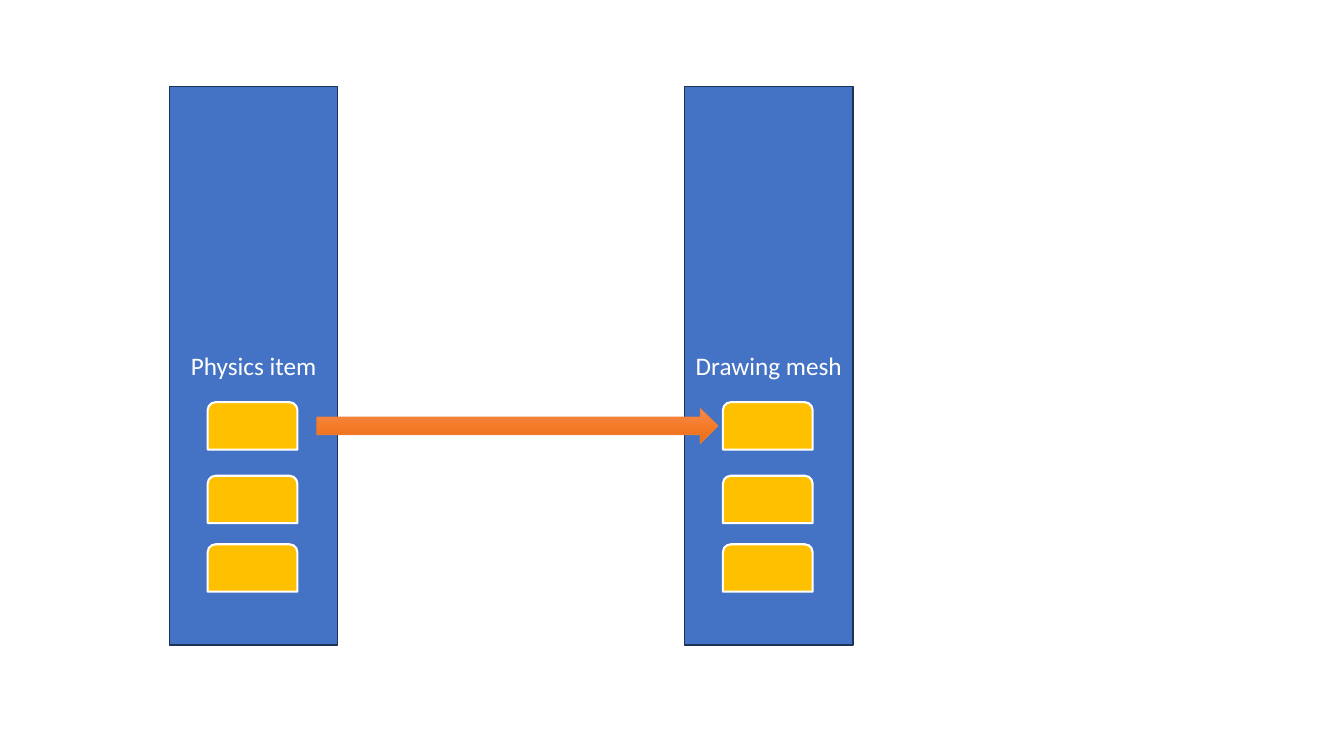
"""Build a slide that links a physics item to its drawing mesh."""
from copy import deepcopy

from pptx import Presentation
from pptx.dml.color import RGBColor
from pptx.enum.shapes import MSO_SHAPE as Shape
from pptx.enum.text import MSO_ANCHOR as Anchor, PP_ALIGN as Align
from pptx.oxml.ns import qn
from pptx.util import Pt

PX = 9144
THEME = {
    "column": "4472C4",
    "column_line": "1E3256",
    "block": "FFC000",
    "light": "FFFFFF",
    "arrow_line": "ED7D31",
    "arrow_stops": [(0, "F18C57"), (0.5, "F67B28"), (1, "E56C19")],
    "font": "Calibri",
    "label_size": 18,
}
COLUMNS = [("Physics item", 168), ("Drawing mesh", 679)]
BLOCK_TOPS = [399, 472, 540]


def color(name):
    return RGBColor.from_string(THEME.get(name, name))


def add_outlined(kind, box, line_color, line_width):
    shape = slide.shapes.add_shape(kind, *(length * PX for length in box))
    shape.shadow.inherit = False
    shape.line.color.rgb = color(line_color)
    shape.line.width = Pt(line_width)
    return shape


presentation = Presentation()
presentation.slide_width = 1333 * PX
presentation.slide_height = 750 * PX
slide = presentation.slides.add_slide(presentation.slide_layouts[6])

for label, left in COLUMNS:
    column = add_outlined(Shape.RECTANGLE, (left, 86, 167, 554), "column_line", 1)
    column.fill.solid()
    column.fill.fore_color.rgb = color("column")
    column.text_frame.vertical_anchor = Anchor.MIDDLE
    paragraph = column.text_frame.paragraphs[0]
    paragraph.alignment = Align.CENTER
    run = paragraph.add_run()
    run.text = label
    font_format = {"name": THEME["font"], "size": Pt(THEME["label_size"])}
    for attribute, value in font_format.items():
        setattr(run.font, attribute, value)
    run.font.color.rgb = color("light")

    for top in BLOCK_TOPS:
        block = add_outlined(
            Shape.ROUND_2_SAME_RECTANGLE, (left + 38, top, 89, 47), "light", 1.5
        )
        block.fill.solid()
        block.fill.fore_color.rgb = color("block")

arrow = add_outlined(Shape.RIGHT_ARROW, (314, 405, 398, 35), "arrow_line", 0.5)
arrow.fill.gradient()
arrow.fill.gradient_angle = 270
stop_list = next(arrow._element.spPr.iter(qn("a:gsLst")))
stop_list.insert(1, deepcopy(stop_list[0]))
for stop, (position, stop_color) in zip(arrow.fill.gradient_stops, THEME["arrow_stops"]):
    stop.position = position
    stop.color.rgb = color(stop_color)

presentation.save("out.pptx")
